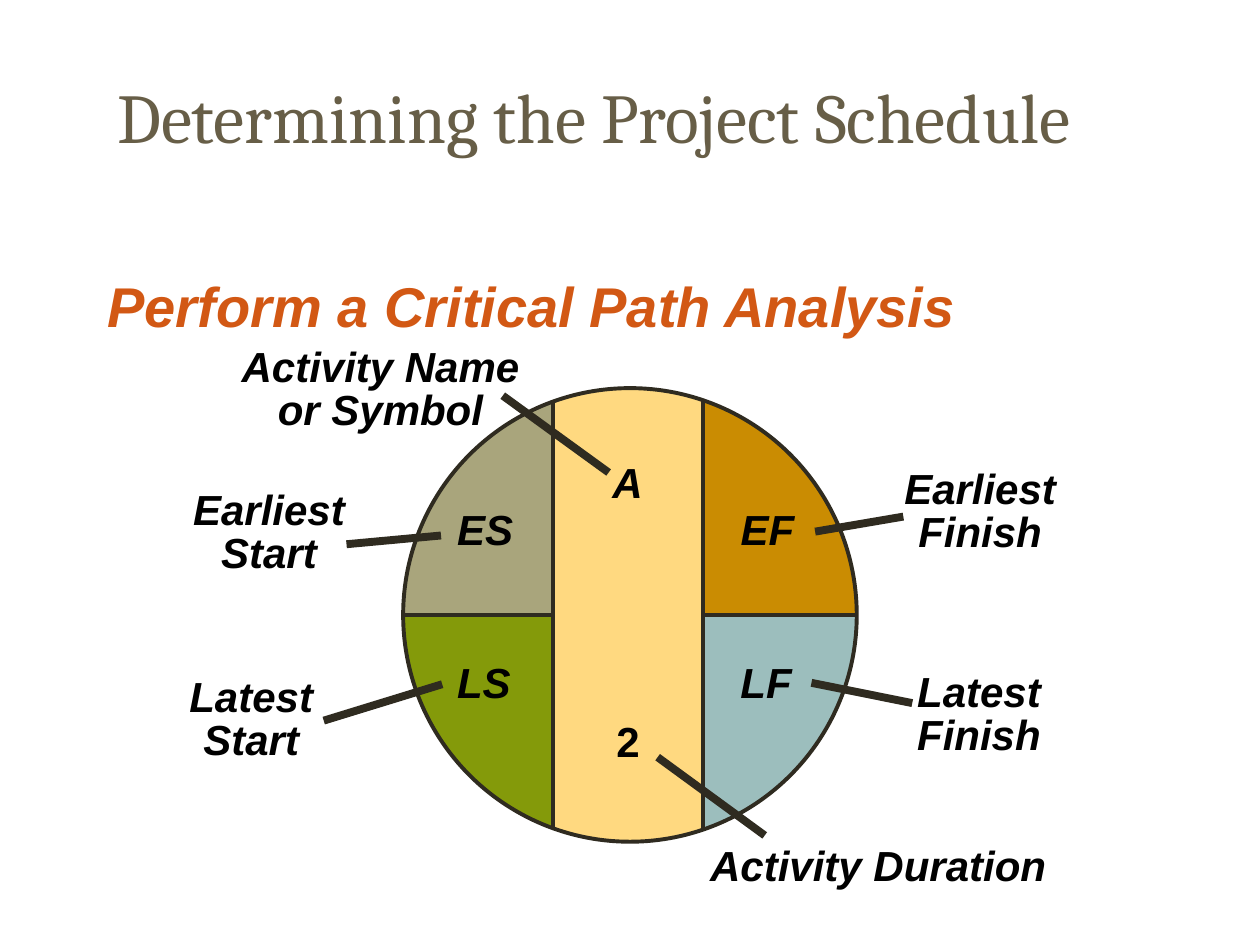
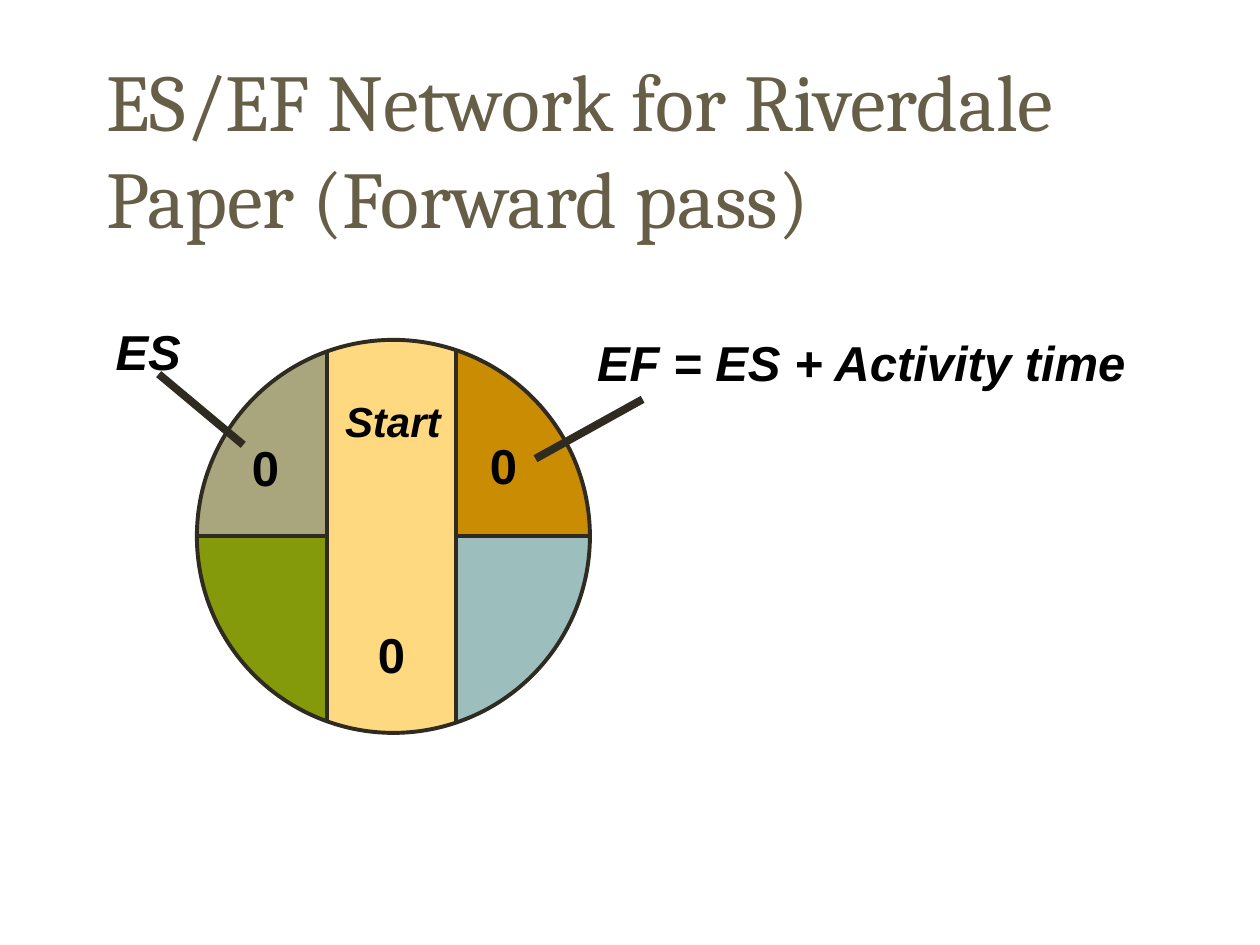
import math

from lxml import etree
from pptx import Presentation
from pptx.dml.color import RGBColor
from pptx.enum.shapes import MSO_CONNECTOR, MSO_SHAPE
from pptx.enum.text import MSO_ANCHOR, MSO_AUTO_SIZE, PP_ALIGN
from pptx.oxml.ns import qn
from pptx.util import Pt

STRAIGHT = MSO_CONNECTOR.STRAIGHT
OVAL = MSO_SHAPE.OVAL
TOP, MIDDLE = MSO_ANCHOR.TOP, MSO_ANCHOR.MIDDLE
LEFT, CENTER = PP_ALIGN.LEFT, PP_ALIGN.CENTER
FIT_SHAPE, NO_FIT = MSO_AUTO_SIZE.SHAPE_TO_FIT_TEXT, MSO_AUTO_SIZE.NONE

INK, BLACK, TITLE, ACCENT = "2F2B20", "000000", "675E47", "D25814"
STRIP_FILL = "FFD980"
SEGMENT_FILLS = {
    (-1, -1): "A9A57C",
    (1, -1): "CA8C02",
    (1, 1): "9CBEBD",
    (-1, 1): "849A0A",
}
TITLE_FONT, BODY_FONT = "Cambria", "Arial"
THIN, THICK = 2.25, 4.5
ARC_STEPS = 24
SYMBOL_SLACK = 4


def color(value):
    """Turn a hex string into a colour."""
    return RGBColor.from_string(value)


def add_text(page, text, left, top, width, height, size, font=BODY_FONT, ink=BLACK,
             bold=True, italic=True, align=LEFT, spacing=1.0, wrap=False, anchor=TOP):
    """Add one paragraph of text in its own box."""
    box = page.shapes.add_textbox(Pt(left), Pt(top), Pt(width), Pt(height))
    frame = box.text_frame
    frame.word_wrap = wrap
    frame.auto_size = NO_FIT if wrap else FIT_SHAPE
    frame.vertical_anchor = anchor
    para = frame.paragraphs[0]
    para.text = text
    para.alignment = align
    para.line_spacing = spacing
    para.font.name = font
    para.font.size = Pt(size)
    para.font.bold = bold
    para.font.italic = italic
    para.font.color.rgb = color(ink)


def add_title(page, text, left, top, height, size):
    """Add the slide title."""
    add_text(page, text, left, top, 612, height, size, TITLE_FONT, TITLE,
             bold=False, italic=False, wrap=True, anchor=MIDDLE)


def add_caption(page, text, left, top, width):
    """Add a centred two-line caption outside the disc."""
    add_text(page, text, left, top, width, 56.2, 24, align=CENTER, spacing=0.85, wrap=True)


def add_symbol(page, text, left, top, width):
    """Add a centred one-line label with tight spacing."""
    add_text(page, text, left - SYMBOL_SLACK, top, width + 2 * SYMBOL_SLACK, 31.7, 24,
             align=CENTER, spacing=0.85)


def add_line(page, start_x, start_y, end_x, end_y, weight=THICK):
    """Add a straight line without a shadow."""
    line = page.shapes.add_connector(STRAIGHT, Pt(start_x), Pt(start_y), Pt(end_x), Pt(end_y))
    line.line.color.rgb = color(INK)
    line.line.width = Pt(weight)
    etree.SubElement(line.element.spPr, qn("a:effectLst"))


def add_circle(page, center_x, center_y, radius):
    """Add a circle around a centre and return it."""
    circle = page.shapes.add_shape(OVAL, Pt(center_x - radius), Pt(center_y - radius),
                                   Pt(2 * radius), Pt(2 * radius))
    circle.shadow.inherit = False
    return circle


def strip_offset(radius, side):
    """Give the strip edge's distance from the disc centre, just left of symmetric."""
    return radius * (0.33 * side - 0.01)


def add_segment(page, center_x, center_y, radius, side, half, fill):
    """Fill one quarter of the disc beside the central strip."""
    offset = strip_offset(radius, side)
    sweep = math.acos(abs(offset) / radius)
    angles = [sweep * step / ARC_STEPS for step in range(ARC_STEPS + 1)]
    arc = [(Pt(center_x + side * radius * math.cos(angle)),
            Pt(center_y + half * radius * math.sin(angle))) for angle in angles]
    corner = (Pt(center_x + offset), Pt(center_y))
    builder = page.shapes.build_freeform(*arc[0])
    builder.add_line_segments(arc[1:] + [corner], close=True)
    segment = builder.convert_to_shape()
    segment.shadow.inherit = False
    segment.fill.solid()
    segment.fill.fore_color.rgb = color(fill)
    segment.line.fill.background()


def add_activity_disc(page, center_x, center_y, radius):
    """Add the activity node: a strip one third wide and four segments."""
    strip = add_circle(page, center_x, center_y, radius)
    strip.fill.solid()
    strip.fill.fore_color.rgb = color(STRIP_FILL)
    strip.line.fill.background()
    for (side, half), fill in SEGMENT_FILLS.items():
        add_segment(page, center_x, center_y, radius, side, half, fill)
    rim = add_circle(page, center_x, center_y, radius)
    rim.fill.background()
    rim.line.color.rgb = color(INK)
    rim.line.width = Pt(THIN)
    for side in (-1, 1):
        offset = strip_offset(radius, side)
        reach = math.sqrt(radius ** 2 - offset ** 2)
        edge = center_x + offset
        add_line(page, edge, center_y - reach, edge, center_y + reach, THIN)
        add_line(page, edge, center_y, center_x + side * radius, center_y, THIN)


def build_schedule_slide(page):
    """Explain each field of the activity node."""
    add_title(page, "Determining the Project Schedule", 60, 18, 95.8, 40)
    add_text(page, "Perform a Critical Path Analysis", 54.3, 151.6, 500.4, 46.1, 32, ink=ACCENT)
    add_activity_disc(page, 360, 351.4, 129.6)
    for caption in (
        ("Activity Name or Symbol", 126.7, 195.5, 181.4),
        ("Earliest Start", 97.9, 277.2, 111.6),
        ("Earliest Finish", 500, 265, 120.2),
        ("Latest Start", 91.7, 384.2, 103.7),
        ("Latest Finish", 506.9, 381.1, 105.1),
    ):
        add_caption(page, *caption)
    for symbol in (
        ("A", 342.7, 261.8, 31.7),
        ("ES", 254.2, 288.7, 46.1),
        ("EF", 416.2, 288.7, 44.6),
        ("LS", 254.2, 375.8, 44.6),
        ("LF", 416.2, 375.8, 43.2),
        ("Activity Duration", 398.9, 480.7, 205.9),
    ):
        add_symbol(page, *symbol)
    add_text(page, "2", 345.1, 405.4, 27.4, 36, 24, italic=False)
    for leader in (
        (287.3, 226.1, 347.8, 270),
        (198, 311, 252, 306),
        (465.8, 303.8, 516.2, 295.2),
        (185, 411.8, 252.7, 391),
        (463.7, 390.2, 521.3, 401.8),
        (375.8, 432.7, 437, 477.4),
    ):
        add_line(page, *leader)


def build_forward_pass_slide(page):
    """Show the start node of the forward pass."""
    add_title(page, "ES/EF Network for Riverdale Paper (Forward pass)", 53.6, 32, 105.1, 46)
    add_activity_disc(page, 224.8, 306.5, 112.3)
    add_text(page, "Start", 190.1, 222.5, 69.1, 36, 24)
    for left, top in ((208.8, 353.2), (136.8, 246.5), (272.9, 245.2)):
        add_text(page, "0", left, top, 29.5, 41, 28, italic=False)
    add_text(page, "ES", 59, 180, 51.8, 41, 28)
    add_text(page, "EF = ES + Activity time", 334.1, 186.5, 317.5, 41, 28)
    add_line(page, 90.7, 213.8, 139, 254.2)
    add_line(page, 367.2, 228.2, 306, 262.1)


def main():
    """Build and save the deck."""
    deck = Presentation()
    deck.slide_width, deck.slide_height = Pt(720), Pt(540)
    blank = deck.slide_layouts[6]
    for build in (build_schedule_slide, build_forward_pass_slide):
        build(deck.slides.add_slide(blank))
    deck.save("out.pptx")


if __name__ == "__main__":
    main()
